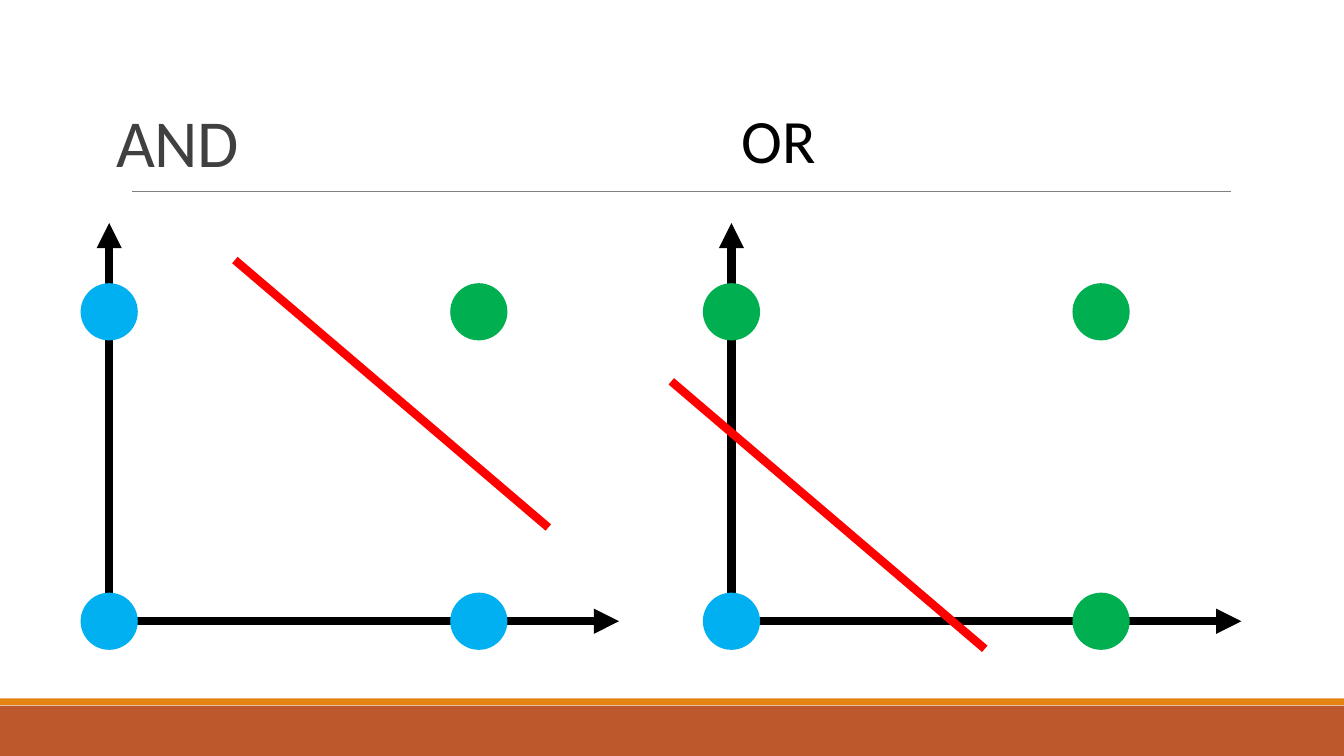
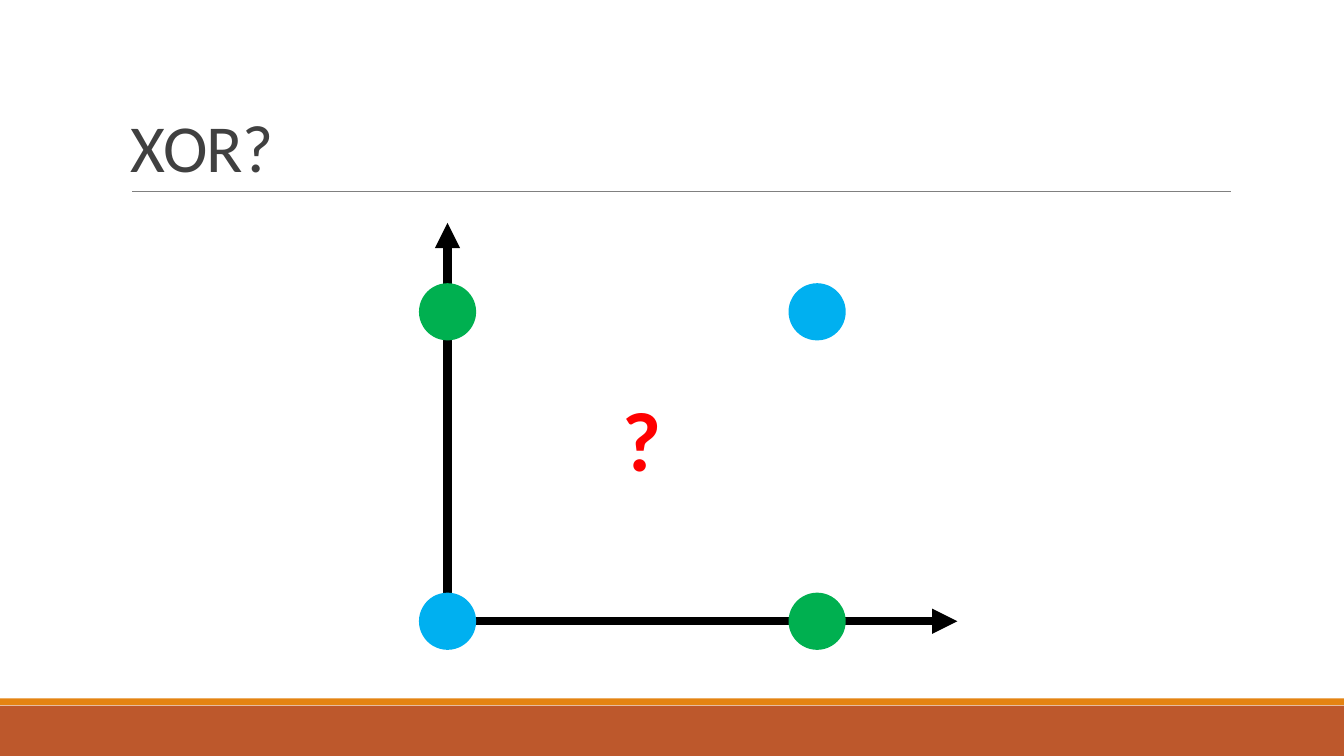
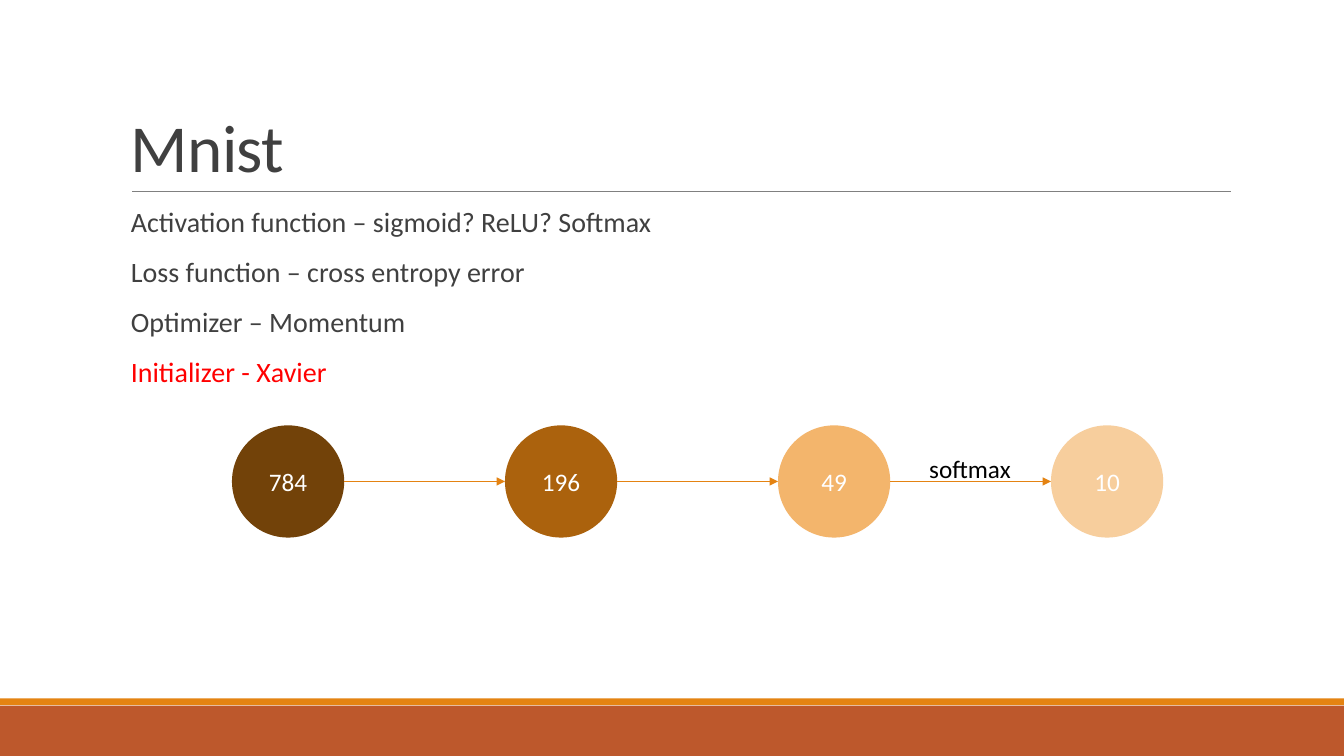
from itertools import product

from lxml.etree import SubElement
from pptx import Presentation
from pptx.dml.color import RGBColor
from pptx.enum.shapes import MSO_CONNECTOR, MSO_SHAPE
from pptx.enum.text import MSO_ANCHOR, MSO_AUTO_SIZE, PP_ALIGN
from pptx.oxml.ns import qn
from pptx.util import Inches, Pt

# Grid of square cells over the slide
COLUMNS, ROWS = 80, 45
CELL = Inches(1) / 6

# Colours
WHITE = RGBColor(0xFF, 0xFF, 0xFF)
BLACK = RGBColor(0x00, 0x00, 0x00)
CHARCOAL = RGBColor(0x40, 0x40, 0x40)
GRAY = RGBColor(0x80, 0x80, 0x80)
RUST = RGBColor(0xBD, 0x58, 0x2C)
ORANGE = RGBColor(0xE4, 0x83, 0x12)
RED = RGBColor(0xFF, 0x00, 0x00)
GREEN = RGBColor(0x00, 0xB0, 0x50)
BLUE = RGBColor(0x00, 0xB0, 0xF0)
BROWNS = (RGBColor(0x72, 0x42, 0x09), RGBColor(0xAB, 0x62, 0x0D),
          RGBColor(0xF3, 0xB5, 0x6C), RGBColor(0xF7, 0xCE, 0x9D))

FONT = "Calibri"
TITLE_AREA = (7.2, 1.86, 66, 9.54)


def cells(*counts):
    return [round(count * CELL) for count in counts]


class SlideBuilder:
    """Holds the deck style and the slide being filled."""

    def __init__(self):
        self.deck = Presentation()
        self.deck.slide_width, self.deck.slide_height = cells(COLUMNS, ROWS)
        self.page = None

    def new_page(self, title, area=TITLE_AREA):
        self.page = self.deck.slides.add_slide(self.deck.slide_layouts[6])
        self.shape(MSO_SHAPE.RECTANGLE, (0, 42, COLUMNS, 3), RUST)
        self.shape(MSO_SHAPE.RECTANGLE, (0, 41.57, COLUMNS, 0.4), ORANGE)
        self.line((7.86, 11.4), (73.26, 11.4), GRAY, 0.5)
        self.text(area, [(title, CHARCOAL)], 48, anchor=MSO_ANCHOR.BOTTOM,
                  spacing=0.85, tracking=-50)

    def shape(self, kind, area, color, outline=0):
        shape = self.page.shapes.add_shape(kind, *cells(*area))
        shape.shadow.inherit = False
        shape.fill.solid()
        shape.fill.fore_color.rgb = color
        if outline:
            shape.line.color.rgb = color
            shape.line.width = Pt(outline)
        else:
            shape.line.fill.background()
        return shape

    def line(self, start, end, color, width, arrow=False):
        line = self.page.shapes.add_connector(
            MSO_CONNECTOR.STRAIGHT, *cells(*start, *end))
        line.line.color.rgb = color
        line.line.width = Pt(width)
        if arrow:
            SubElement(line.line._get_or_add_ln(), qn("a:tailEnd"), type="triangle")
        SubElement(line._element.spPr, qn("a:effectLst"))

    def style(self, para, size, color, bold=False, tracking=0):
        for span in para.runs:
            span.font.name = FONT
            span.font.size = Pt(size)
            span.font.bold = bold
            span.font.color.rgb = color
            if tracking:
                span.font._element.set("spc", str(tracking))

    def text(self, area, lines, size, anchor=MSO_ANCHOR.TOP, spacing=1.0,
             before=0, after=0, wrap=True, bold=False, tracking=0):
        frame = self.page.shapes.add_textbox(*cells(*area)).text_frame
        frame.word_wrap = wrap
        frame.auto_size = MSO_AUTO_SIZE.NONE if wrap else MSO_AUTO_SIZE.SHAPE_TO_FIT_TEXT
        frame.vertical_anchor = anchor
        frame.text = "\n".join(words for words, color in lines)
        for para, (words, color) in zip(frame.paragraphs, lines):
            para.line_spacing = spacing
            para.space_before, para.space_after = Pt(before), Pt(after)
            self.style(para, size, color, bold, tracking)

    def truth_plane(self, left, dot_colors):
        """Draw two axes and the four input points, bottom left first."""
        bottom, diameter = 36.98, 3.3
        self.line((left, bottom), (left, 13.27), BLACK, 6, arrow=True)
        self.line((left, bottom), (left + 30.35, bottom), BLACK, 6, arrow=True)
        for (column, row), color in zip(product((0, 1), repeat=2), dot_colors):
            area = (left + 22 * column - diameter / 2,
                    bottom - 18.42 * row - diameter / 2, diameter, diameter)
            self.shape(MSO_SHAPE.OVAL, area, color, outline=1.25)

    def layer_chain(self, left, top, labels):
        """Draw network layers as circles joined by arrows."""
        diameter, pitch = 6.68, 16.25
        middle = top + diameter / 2
        for index, (label, color) in enumerate(zip(labels, BROWNS)):
            start = left + index * pitch
            circle = self.shape(MSO_SHAPE.OVAL, (start, top, diameter, diameter), color)
            circle.text_frame.text = label
            circle.text_frame.vertical_anchor = MSO_ANCHOR.MIDDLE
            para = circle.text_frame.paragraphs[0]
            para.alignment = PP_ALIGN.CENTER
            self.style(para, 18, WHITE)
            if index:
                self.line((start - pitch + diameter, middle), (start, middle),
                          ORANGE, 1, arrow=True)


def main():
    builder = SlideBuilder()

    # AND and OR: one straight line separates the classes
    builder.new_page("AND", (6.36, 2.4, 31.68, 8.7))
    builder.text((43.54, 4.2, 31.68, 8.7), [("OR", BLACK)], 44,
                 anchor=MSO_ANCHOR.MIDDLE, spacing=0.9)
    builder.truth_plane(6.5, (BLUE, BLUE, BLUE, GREEN))
    builder.line((13.98, 15.48), (32.64, 31.4), RED, 6)
    builder.truth_plane(43.54, (BLUE, GREEN, GREEN, GREEN))
    builder.line((39.96, 22.7), (58.62, 38.62), RED, 6)

    # XOR: no such line
    builder.new_page("XOR?")
    builder.truth_plane(26.64, (BLUE, GREEN, GREEN, BLUE))
    builder.text((36.48, 22.74, 3.48, 6.66), [("?", RED)], 60, wrap=False, bold=True)

    # Network settings and layers
    builder.new_page("Mnist")
    builder.layer_chain(13.81, 25.32, ("784", "196", "49", "10"))
    builder.text((54.72, 26.7, 6.12, 2.4), [("softmax", BLACK)], 18, wrap=False)
    settings = [
        ("Activation function – sigmoid? ReLU? Softmax", CHARCOAL),
        ("Loss function – cross entropy error", CHARCOAL),
        ("Optimizer – Momentum", CHARCOAL),
        ("Initializer - Xavier", RED),
    ]
    builder.text((7.2, 12.12, 66, 26.4), settings, 20, spacing=0.9, before=12, after=2)

    builder.deck.save("out.pptx")


if __name__ == "__main__":
    main()
